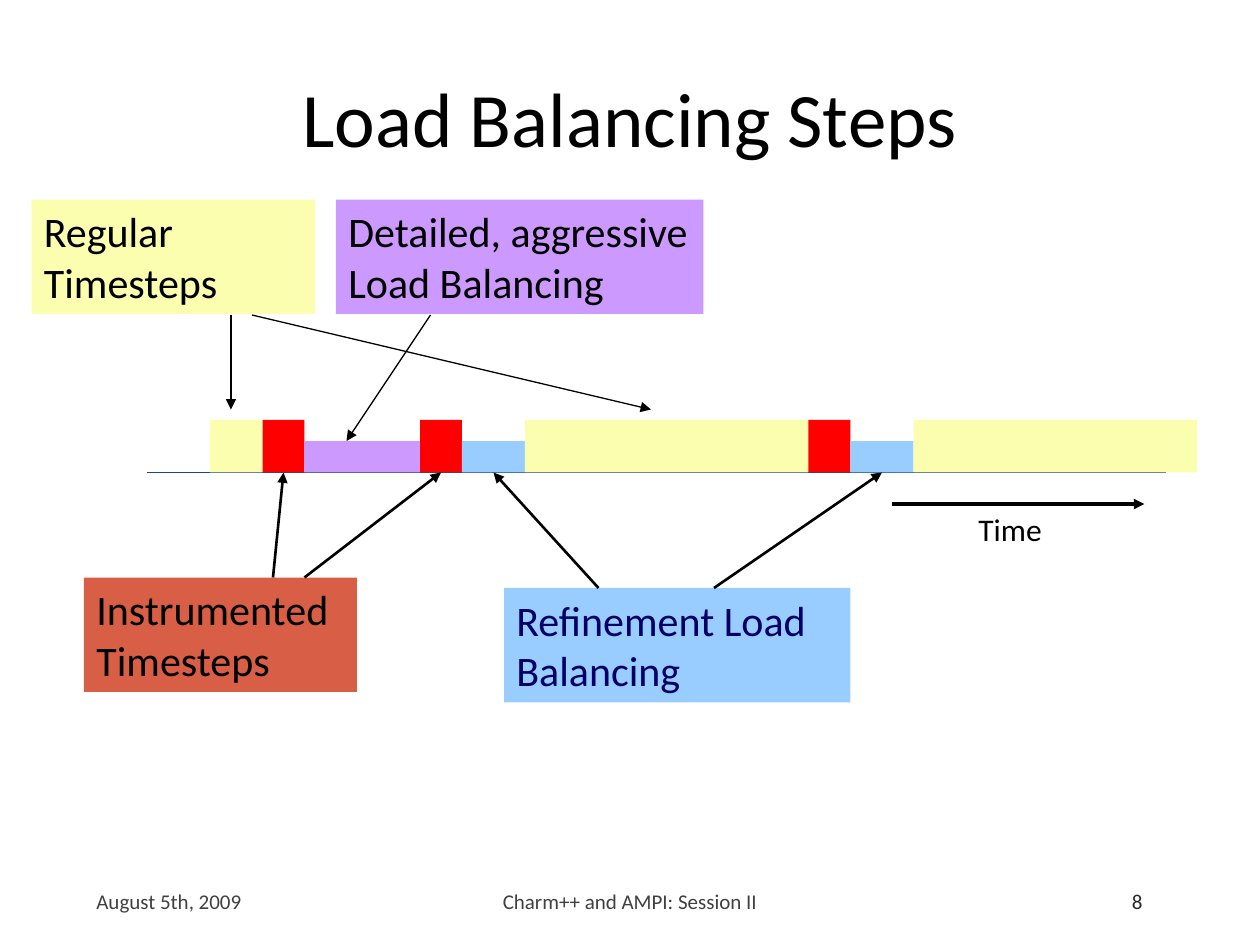
from lxml import etree
from pptx import Presentation, util as u
from pptx.dml.color import RGBColor
from pptx.enum import shapes, text
from pptx.oxml.ns import qn

COLORS = {
    "regular": "FAFEAE", "instrumented": "FF0000", "instrumented_label": "D85E46",
    "aggressive": "CC99FF", "refinement": "99CCFF", "axis": "1F497D",
    "black": "000000", "navy": "000066", "footer": "404040", "number": "262626",
}
LEFT, CENTER, RIGHT = text.PP_ALIGN.LEFT, text.PP_ALIGN.CENTER, text.PP_ALIGN.RIGHT
TOP, MIDDLE = text.MSO_ANCHOR.TOP, text.MSO_ANCHOR.MIDDLE


class Board:
    """Draws on a grid of 120 columns by 90 rows."""
    font = "Calibri"

    def __init__(self, deck):
        self.slide = deck.slides.add_slide(deck.slide_layouts[6])
        self.cell = deck.slide_width / 120

    def place(self, *cells):
        return [u.Emu(round(n * self.cell)) for n in cells]

    def color(self, name):
        return RGBColor.from_string(COLORS[name])

    def set_words(self, shape, words, size, color="black", align=LEFT, anchor=TOP):
        frame = shape.text_frame
        frame.word_wrap = True
        frame.vertical_anchor = anchor
        paragraph = frame.paragraphs[0]
        paragraph.text = words
        paragraph.alignment = align
        paragraph.font.name = self.font
        paragraph.font.size = u.Pt(size)
        paragraph.font.color.rgb = self.color(color)

    def label(self, at, words, size, **style):
        box = self.slide.shapes.add_textbox(*self.place(*at))
        self.set_words(box, words, size, **style)

    def block(self, at, fill):
        shape = self.slide.shapes.add_shape(shapes.MSO_SHAPE.RECTANGLE, *self.place(*at))
        shape.shadow.inherit = False
        shape.fill.solid()
        shape.fill.fore_color.rgb = self.color(fill)
        shape.line.fill.background()
        return shape

    def line(self, ends, width, color="black", arrow=True):
        line = self.slide.shapes.add_connector(
            shapes.MSO_CONNECTOR.STRAIGHT, *self.place(*ends))
        line.line.color.rgb = self.color(color)
        line.line.width = u.Pt(width)
        properties = line.element.spPr
        if arrow:
            etree.SubElement(properties.find(qn("a:ln")), qn("a:tailEnd"), type="triangle")
        etree.SubElement(properties, qn("a:effectLst"))


deck = Presentation()
deck.slide_width, deck.slide_height = u.Inches(10), u.Inches(7.5)
board = Board(deck)

# Title
board.label((6, 3.6, 108, 15), "Load Balancing Steps", 44, align=CENTER, anchor=MIDDLE)

# Timeline: blocks stand on the axis, one after the other
AXIS = 45
board.line((14, AXIS, 111, AXIS), 0.75, "axis", arrow=False)
HEIGHTS = {"regular": 5, "instrumented": 5, "aggressive": 3, "refinement": 3}
steps = [("regular", 5), ("instrumented", 4), ("aggressive", 11),
         ("instrumented", 4), ("refinement", 6), ("regular", 27),
         ("instrumented", 4), ("refinement", 6), ("regular", 27)]
start = 20
for step, length in steps:
    height = HEIGHTS[step]
    board.block((start, AXIS - height, length, height), step)
    start += length

# Legend boxes
legend = [
    ((3, 19, 27), "Regular Timesteps", "regular", "black"),
    ((8, 55, 26), "Instrumented Timesteps", "instrumented_label", "black"),
    ((32, 19, 35), "Detailed, aggressive Load Balancing", "aggressive", "black"),
    ((48, 56, 33), "Refinement Load Balancing", "refinement", "navy"),
]
for at, words, fill, ink in legend:
    board.set_words(board.block((*at, 10.9), fill), words, 24, ink)

# Arrows from the legend to the timeline
for ends in [(22, 30, 22, 39), (24, 30, 62, 39), (41, 30, 33, 42)]:
    board.line(ends, 0.75)
for left, top, target in [(26, 55, 27), (29, 55, 42), (57, 56, 47), (68, 56, 84)]:
    board.line((left, top, target, AXIS), 1.5)

# Direction of time
board.line((85, 48, 109, 48), 2)
board.label((92, 48, 12, 5.2), "Time", 18)

# Footer
footer = [(8, 26, "August 5th, 2009", "footer", LEFT),
          (41, 38, "Charm++ and AMPI: Session II", "footer", CENTER),
          (86, 24, "8", "number", RIGHT)]
for left, width, words, ink, align in footer:
    board.label((left, 83.4, width, 4.8), words, 12, color=ink, align=align, anchor=MIDDLE)

deck.save("out.pptx")
